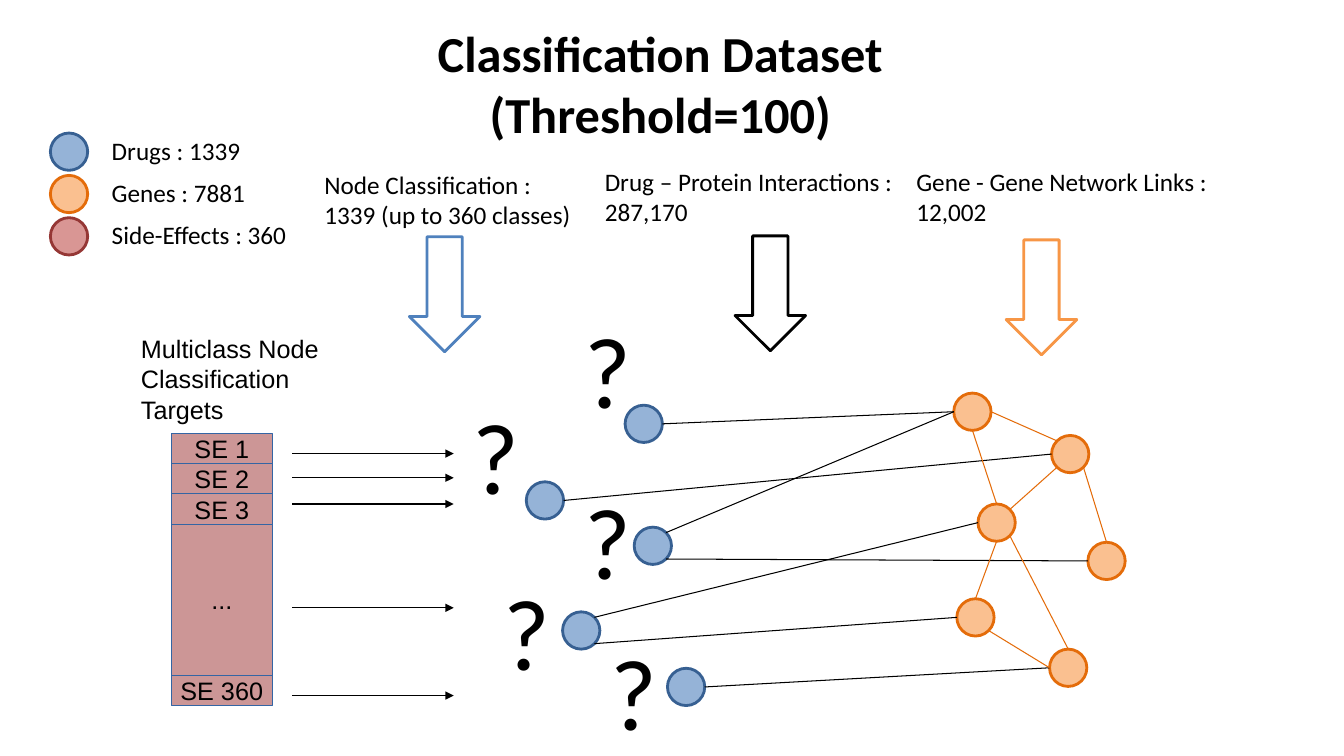
"""Build the classification dataset slide: legend, targets and drug-gene network."""
from math import cos, pi, sin

from lxml.etree import SubElement
from pptx import Presentation
from pptx.dml.color import RGBColor
from pptx.enum.shapes import MSO_CONNECTOR, MSO_SHAPE
from pptx.enum.text import MSO_ANCHOR, MSO_AUTO_SIZE, PP_ALIGN
from pptx.oxml.ns import qn
from pptx.util import Inches, Pt

COLORS = {
    "black": "000000", "white": "FFFFFF", "blue": "4F81BD", "orange": "F79646",
    "drug": "95B3D7", "drug_line": "376092", "gene": "FAC090", "gene_line": "E46C0A",
    "effect": "D99694", "effect_line": "953735", "target": "CC9696", "target_line": "3465A4",
}
TITLE = "Classification Dataset (Threshold=100)"
LEGEND = [("drug", "Drugs : 1339"), ("gene", "Genes : 7881"), ("effect", "Side-Effects : 360")]
HEADINGS = [
    (3.12, 1.63, 3.47, ["Node Classification :", "1339 (up to 360 classes)"]),
    (5.9, 1.6, 3.47, ["Drug – Protein Interactions :", "287,170"]),
    (8.99, 1.6, 3.71, ["Gene - Gene Network Links :", "12,002"]),
]
DOWN_ARROWS = [(4.06, 2.35, "blue"), (7.29, 2.34, "black"), (9.98, 2.38, "orange")]
NODES = {
    "D1": (6.2, 4.02), "D2": (5.22, 4.78), "D3": (6.29, 5.23), "D4": (5.58, 6.07),
    "D5": (6.62, 6.63), "G1": (9.46, 3.9), "G2": (10.43, 4.32), "G3": (9.7, 5),
    "G4": (10.79, 5.38), "G5": (9.49, 5.94), "G6": (10.41, 6.44),
}
SITES = ["top", "top left", "left", "bottom left", "bottom", "bottom right", "right", "top right"]
LINKS = [
    ("D1", "right", "G1", "left"), ("D2", "right", "G2", "left"),
    ("D3", "top right", "G1", "left"), ("D3", "bottom right", "G4", "left"),
    ("D4", "top right", "G3", "left"), ("D4", "bottom right", "G5", "left"),
    ("D5", "right", "G6", "left"), ("G1", "bottom", "G3", "top"),
    ("G1", "right", "G2", "top left"), ("G2", "bottom left", "G3", "top right"),
    ("G2", "bottom right", "G4", "top"), ("G5", "top", "G3", "bottom"),
    ("G6", "top", "G3", "bottom right"), ("G5", "bottom right", "G6", "left"),
]
QUESTIONS = [(4.59, 3.86), (5.7, 3), (5.7, 4.7), (4.9, 5.6), (5.96, 6.2)]
TARGET_TITLE = "Multiclass Node Classification Targets"
TARGETS = [("SE 1", 1), ("SE 2", 1), ("SE 3", 1), ("...", 5), ("SE 360", 1)]
TARGET_ARROWS = [4.5, 4.74, 5, 6.03, 6.9]
TARGET_LEFT, TARGET_TOP, TARGET_WIDTH, TARGET_ROW = 1.7, 4.3, 1, 0.3
LEGEND_TOP, LEGEND_STEP = 1.32, 0.42
NODE = 0.37


def rgb(name):
    return RGBColor.from_string(COLORS[name])


def write(tf, lines, size=18, font="Calibri", bold=False, align=PP_ALIGN.LEFT):
    for i, line in enumerate(lines):
        p = tf.add_paragraph() if i else tf.paragraphs[0]
        p.alignment = align
        r = p.add_run()
        r.text = line
        for key, value in {"size": Pt(size), "name": font, "bold": bold}.items():
            setattr(r.font, key, value)
        r.font.color.rgb = rgb("black")


def add_text(s, box, lines, **style):
    tf = s.shapes.add_textbox(*map(Inches, box)).text_frame
    tf.word_wrap = True
    write(tf, lines, **style)


def add_figure(s, kind, box, fill, line, width=2):
    sp = s.shapes.add_shape(kind, *map(Inches, box))
    sp.shadow.inherit = False
    sp.fill.solid()
    sp.fill.fore_color.rgb = rgb(fill)
    sp.line.color.rgb = rgb(line)
    sp.line.width = Pt(width)
    return sp


def add_node(s, left, top, kind):
    return add_figure(s, MSO_SHAPE.OVAL, (left, top, NODE, NODE), kind, kind + "_line")


def add_line(s, start, end, color):
    line = s.shapes.add_connector(MSO_CONNECTOR.STRAIGHT, *map(Inches, (*start, *end)))
    line.line.color.rgb = rgb(color)
    line.line.width = Pt(0.75)
    SubElement(line._element.spPr, qn("a:effectLst"))
    return line


def site_point(name, site):
    angle = pi / 2 + SITES.index(site) * pi / 4
    left, top = NODES[name]
    return left + NODE / 2 * (1 + cos(angle)), top + NODE / 2 * (1 - sin(angle))


def add_network(s):
    ovals = {name: add_node(s, *at, "drug" if name[0] == "D" else "gene")
             for name, at in NODES.items()}
    for a, a_site, b, b_site in LINKS:
        color = "black" if a[0] == "D" else "gene_line"
        line = add_line(s, site_point(a, a_site), site_point(b, b_site), color)
        joints = line._element.nvCxnSpPr.cNvCxnSpPr
        for tag, name, site in (("a:stCxn", a, a_site), ("a:endCxn", b, b_site)):
            SubElement(joints, qn(tag), id=str(ovals[name].shape_id), idx=str(SITES.index(site)))
    for left, top in QUESTIONS:
        add_text(s, (left, top, 1, 1.29), ["?"], size=72)


def add_targets(s):
    add_text(s, (1.3, 3.26, 2.4, 0.93), [TARGET_TITLE], font="Arial")
    top = TARGET_TOP
    for label, rows in TARGETS:
        box = (TARGET_LEFT, top, TARGET_WIDTH, rows * TARGET_ROW)
        sp = add_figure(s, MSO_SHAPE.RECTANGLE, box, "target", "target_line", 0.75)
        sp.text_frame.word_wrap = False
        sp.text_frame.vertical_anchor = MSO_ANCHOR.MIDDLE
        write(sp.text_frame, [label], font="Arial", align=PP_ALIGN.CENTER)
        top += rows * TARGET_ROW
    for y in TARGET_ARROWS:
        arrow = add_line(s, (2.9, y), (4.5, y), "black")
        SubElement(arrow.line._get_or_add_ln(), qn("a:tailEnd"), type="triangle")


def add_title(s):
    title = s.shapes.title
    box = {"left": 3.45, "top": 0.17, "width": 6.2, "height": 1.29}
    for key, value in box.items():
        setattr(title, key, Inches(value))
    tf = title.text_frame
    frame = {"word_wrap": True, "auto_size": MSO_AUTO_SIZE.NONE, "vertical_anchor": MSO_ANCHOR.TOP}
    for key, value in frame.items():
        setattr(tf, key, value)
    write(tf, [TITLE], size=36, bold=True, align=PP_ALIGN.CENTER)


def main():
    prs = Presentation()
    prs.slide_width, prs.slide_height = Inches(13.33), Inches(7.5)
    s = prs.slides.add_slide(prs.slide_layouts[5])
    add_title(s)
    for i, (kind, label) in enumerate(LEGEND):
        top = LEGEND_TOP + i * LEGEND_STEP
        add_node(s, 0.5, top, kind)
        add_text(s, (1.01, top - 0.03, 2.29, 0.39), [label])
    for left, top, width, lines in HEADINGS:
        add_text(s, (left, top, width, 0.69), lines)
    for left, top, color in DOWN_ARROWS:
        add_figure(s, MSO_SHAPE.DOWN_ARROW, (left, top, 0.7, 1.14), "white", color)
    add_network(s)
    add_targets(s)
    prs.save("out.pptx")


if __name__ == "__main__":
    main()
